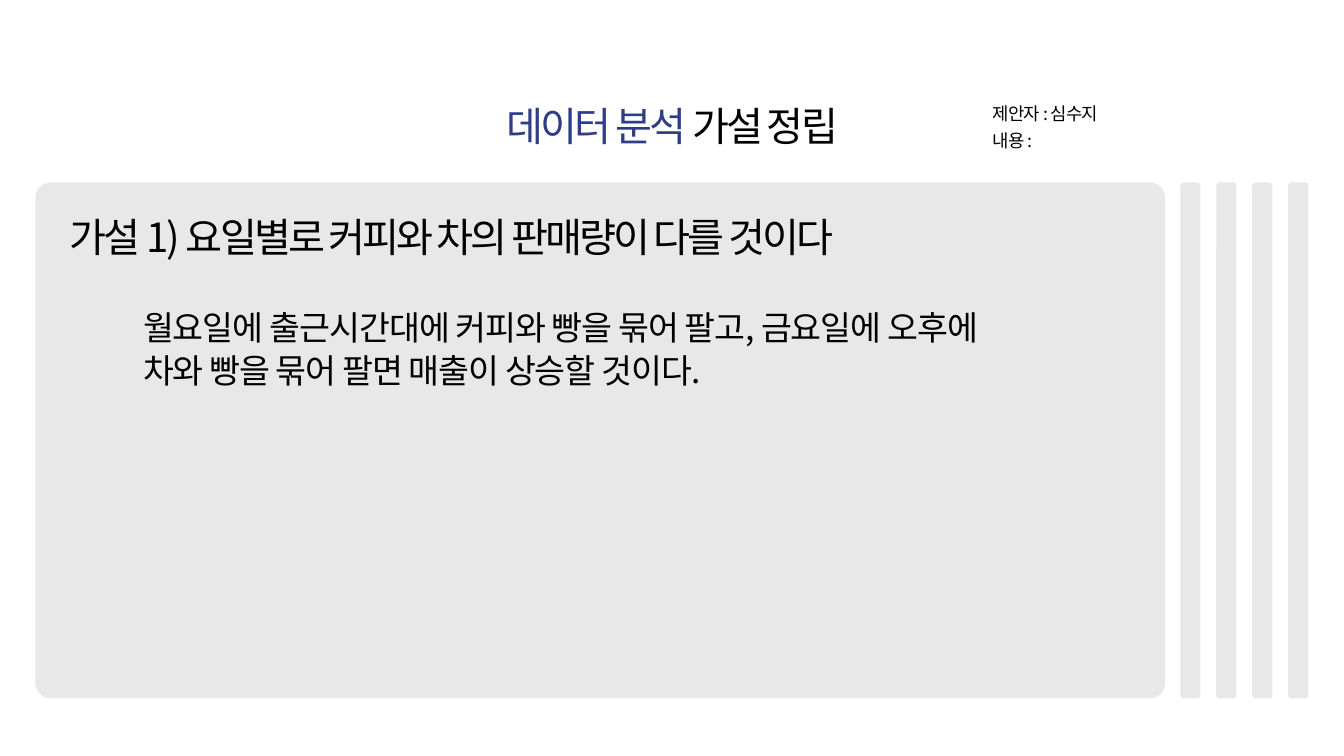
import pptx
import pptx.util
import pptx.dml.color
import pptx.enum.shapes
import pptx.enum.text
import pptx.oxml.ns
import lxml.etree

Pt = pptx.util.Pt
RGBColor = pptx.dml.color.RGBColor
ALIGN = pptx.enum.text.PP_ALIGN

NAVY = RGBColor(0x2E, 0x3D, 0x86)
BLACK = RGBColor(0, 0, 0)
PANEL_GREY = RGBColor(0xE8, 0xE8, 0xE8)
FONT = "Noto Sans CJK KR"

PANEL_TOP, PANEL_HEIGHT = 130.3, 368.6
BAR_COUNT, BAR_LEFT, BAR_STEP, BAR_WIDTH = 4, 843.1, 25.7, 14.4


def add_panel(slide, left, width, corner=None):
    panel = slide.shapes.add_shape(
        pptx.enum.shapes.MSO_SHAPE.ROUNDED_RECTANGLE,
        Pt(left), Pt(PANEL_TOP), Pt(width), Pt(PANEL_HEIGHT))
    panel.shadow.inherit = False
    panel.fill.solid()
    panel.fill.fore_color.rgb = PANEL_GREY
    panel.line.fill.background()
    if corner is not None:
        panel.adjustments[0] = corner


def add_text(slide, box, lines, size, tracking, line_spacing=1.08, align=ALIGN.LEFT):
    """Each line is a list of (wording, colour) pairs."""
    frame = slide.shapes.add_textbox(*(Pt(length) for length in box)).text_frame
    frame.word_wrap = True
    frame.margin_left = frame.margin_right = frame.margin_top = frame.margin_bottom = 0
    for index, line in enumerate(lines):
        paragraph = frame.paragraphs[0] if index == 0 else frame.add_paragraph()
        paragraph.alignment = align
        paragraph.line_spacing = line_spacing
        paragraph.font.size = Pt(size)
        paragraph.font.name = FONT
        for wording, colour in line:
            run = paragraph.add_run()
            run.text = wording
            run.font.color.rgb = colour
            # Letter spacing and the East Asian typeface
            properties = run.font._element
            properties.set("spc", str(round(tracking * 100)))
            lxml.etree.SubElement(
                properties, pptx.oxml.ns.qn("a:ea")).set("typeface", FONT)


def main():
    deck = pptx.Presentation()
    deck.slide_width, deck.slide_height = Pt(960), Pt(540)
    slide = deck.slides.add_slide(deck.slide_layouts[6])

    # Heading and proposer
    add_text(slide, (146.2, 69.8, 668.2, 40.3),
             [[("데이터 분석 ", NAVY), ("가설 정립", BLACK)]],
             28.7, -2, align=ALIGN.CENTER)
    add_text(slide, (709.2, 69.8, 394.6, 36.7),
             [[("제안자 : 심수지", BLACK)], [("내용 :", BLACK)]],
             12.7, -0.7, line_spacing=1.24)

    # Main panel and the bars beside it
    add_panel(slide, 25.2, 807.1, corner=0.03)
    for index in range(BAR_COUNT):
        add_panel(slide, BAR_LEFT + index * BAR_STEP, BAR_WIDTH)

    # Hypothesis and its explanation
    add_text(slide, (49.7, 149, 637.9, 113),
             [[("가설 1) 요일별로 커피와 차의 판매량이 다를 것이다", BLACK)]],
             28.7, -2)
    add_text(slide, (102.2, 216.7, 637.9, 227.5),
             [[("월요일에 출근시간대에 커피와 빵을 묶어 팔고, 금요일에 오후에 "
                "차와 빵을 묶어 팔면 매출이 상승할 것이다.", BLACK)]],
             24, -0.7)

    deck.save("out.pptx")


if __name__ == "__main__":
    main()
